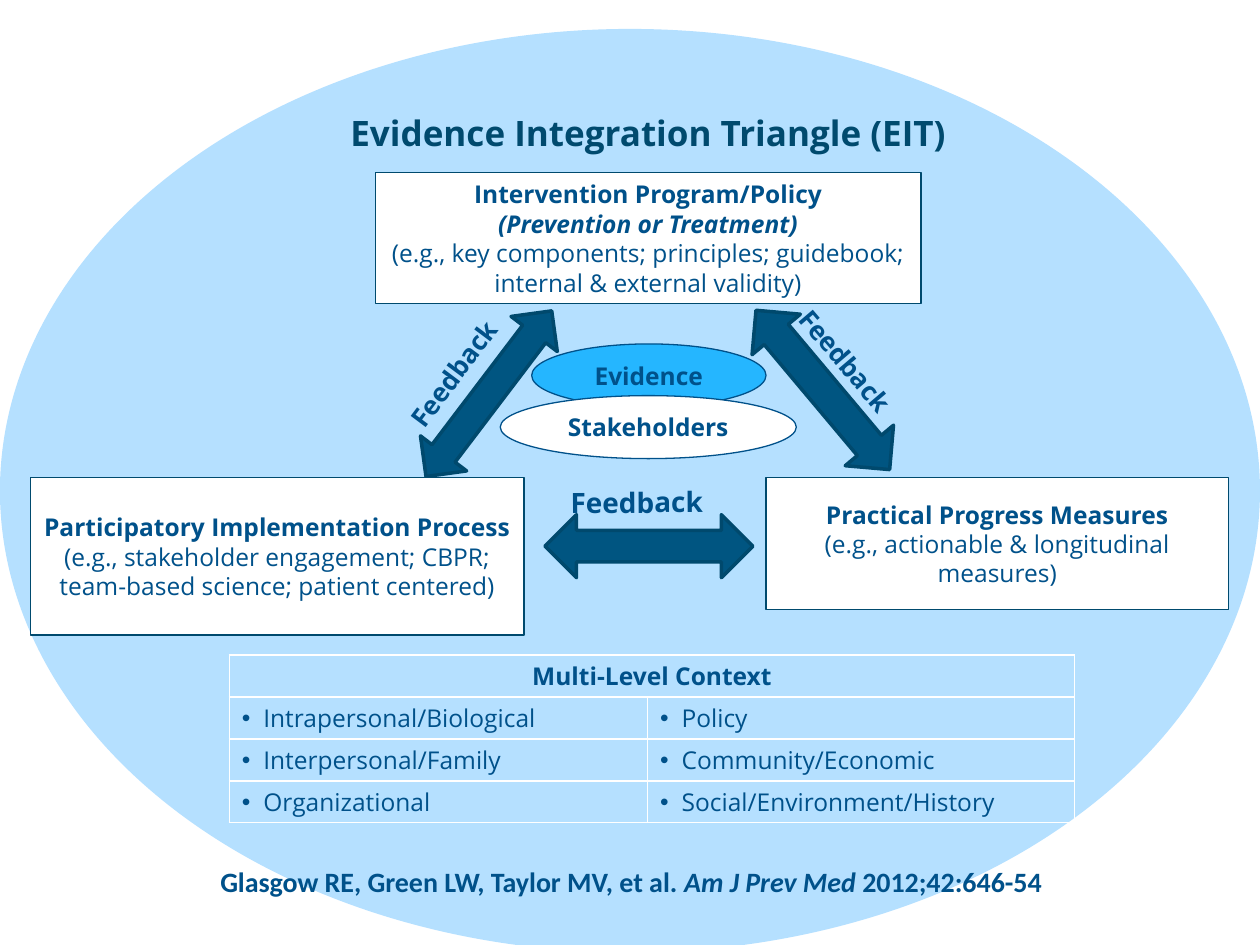
from lxml import etree
from pptx import Presentation
from pptx.dml.color import RGBColor
from pptx.enum.shapes import MSO_SHAPE
from pptx.enum.text import MSO_ANCHOR, PP_ALIGN
from pptx.oxml.ns import qn
from pptx.util import Inches, Pt

OVAL, RECT, ARROW = MSO_SHAPE.OVAL, MSO_SHAPE.RECTANGLE, MSO_SHAPE.UP_DOWN_ARROW
LEFT, CENTER = PP_ALIGN.LEFT, PP_ALIGN.CENTER
TOP, MIDDLE = MSO_ANCHOR.TOP, MSO_ANCHOR.MIDDLE
TEXT, EDGE, WHITE = "00518A", "004A6E", "FFFFFF"
BOLD, PLAIN, ITALIC = (True, False), (False, False), (True, True)


def rgb(value):
    return RGBColor.from_string(value)


class Deck:
    font = "Open Sans"
    size = 14

    def __init__(self, prs):
        self.s = prs.slides.add_slide(prs.slide_layouts[5])

    def add_text(self, tf, paragraphs, size=size, color=TEXT, font=font, align=CENTER, anchor=MIDDLE):
        tf.word_wrap = True
        tf.vertical_anchor = anchor
        for i, runs in enumerate(paragraphs):
            p = tf.paragraphs[0] if i == 0 else tf.add_paragraph()
            p.alignment = align
            for text, (bold, italic) in runs:
                r = p.add_run()
                r.text = text
                r.font.name, r.font.size = font, Pt(size)
                r.font.bold, r.font.italic = bold, italic
                r.font.color.rgb = rgb(color)

    def title(self, box, text, size, color):
        sp = self.s.shapes.title
        sp.left, sp.top, sp.width, sp.height = map(Inches, box)
        self.s.shapes.element.append(sp.element)
        self.add_text(sp.text_frame, [[(text, BOLD)]], size, color)

    def shape(self, kind, box, fill, line=None, width=0.75, rotation=0, paragraphs=()):
        sp = self.s.shapes.add_shape(kind, *map(Inches, box))
        sp.shadow.inherit = False
        sp.rotation = rotation
        sp.fill.solid()
        sp.fill.fore_color.rgb = rgb(fill)
        if line:
            sp.line.color.rgb = rgb(line)
            sp.line.width = Pt(width)
        else:
            sp.line.fill.background()
        self.add_text(sp.text_frame, paragraphs)

    def text(self, box, runs, size, rotation=0, font=font):
        sp = self.s.shapes.add_textbox(*map(Inches, box))
        sp.rotation = rotation
        self.add_text(sp.text_frame, [runs], size, font=font, align=LEFT, anchor=TOP)

    def bullet(self, p):
        pPr = p._p.get_or_add_pPr()
        pPr.set("marL", str(Inches(0.17)))
        pPr.set("indent", str(-Inches(0.17)))
        etree.SubElement(pPr, qn("a:buFont")).set("typeface", "Arial")
        etree.SubElement(pPr, qn("a:buChar")).set("char", "•")

    def table(self, box, widths, heading, rows):
        t = self.s.shapes.add_table(len(rows) + 1, len(widths), *map(Inches, box)).table
        t.first_row = t.horz_banding = False
        for column, width in zip(t.columns, widths):
            column.width = Inches(width)
        for cell in t.iter_cells():
            cell.fill.background()
            cell.margin_top = cell.margin_bottom = Inches(0.02)
            cell.vertical_anchor = MIDDLE
        t.cell(0, 0).merge(t.cell(0, len(widths) - 1))
        self.add_text(t.cell(0, 0).text_frame, [[(heading, BOLD)]])
        for i, row in enumerate(rows, 1):
            for j, text in enumerate(row):
                tf = t.cell(i, j).text_frame
                self.add_text(tf, [[(text, PLAIN)]], align=LEFT)
                self.bullet(tf.paragraphs[0])


prs = Presentation()
prs.slide_width, prs.slide_height = Inches(10), Inches(7.5)
deck = Deck(prs)

deck.shape(OVAL, (0, 0.23, 10, 7.33), "B5E0FF")
deck.title((1.73, 0.83, 6.83, 0.44), "Evidence Integration Triangle (EIT)", 20, EDGE)

for box, rotation in [
    ((3.65, 2.3, 0.46, 1.65), 37.2),
    ((6.28, 2.27, 0.5, 1.65), 140),
    ((4.9, 3.51, 0.5, 1.65), 90),
]:
    deck.shape(ARROW, box, "005581", "00496D", 2, rotation)

for box, headings, example in [
    ((0.24, 3.79, 3.92, 1.25), [("Participatory Implementation Process", BOLD)],
     "(e.g., stakeholder engagement; CBPR; team-based science; patient centered)"),
    ((6.08, 3.79, 3.67, 1.05), [("Practical Progress Measures", BOLD)],
     "(e.g., actionable & longitudinal measures)"),
    ((2.98, 1.37, 4.33, 1.04),
     [("Intervention Program/Policy", BOLD), ("(Prevention or Treatment)", ITALIC)],
     "(e.g., key components; principles; guidebook; internal & external validity)"),
]:
    paragraphs = [[run] for run in headings + [(example, PLAIN)]]
    deck.shape(RECT, box, WHITE, EDGE, paragraphs=paragraphs)

for box, fill, label in [
    ((4.22, 2.73, 1.86, 0.5), "25B6FF", "Evidence"),
    ((3.97, 3.14, 2.35, 0.5), WHITE, "Stakeholders"),
]:
    deck.shape(OVAL, box, fill, TEXT, paragraphs=[[(label, BOLD)]])

for box, size, rotation in [
    ((2.96, 2.7, 1.41, 0.35), 15, 306.8),
    ((6.07, 2.79, 1.45, 0.35), 15, 49.7),
    ((4.43, 3.8, 1.43, 0.37), 16, 359.7),
]:
    deck.text(box, [("Feedback", BOLD)], size, rotation)

deck.table((1.82, 5.2, 6.71, 1.33), (3.32, 3.39), "Multi-Level Context", [
    ("Intrapersonal/Biological", "Policy"),
    ("Interpersonal/Family", "Community/Economic"),
    ("Organizational", "Social/Environment/History"),
])

deck.text((1.65, 6.81, 6.76, 0.37), [
    ("Glasgow RE, Green LW, Taylor MV, et al. ", BOLD),
    ("Am J Prev Med ", ITALIC),
    ("2012;42:646-54", BOLD),
], 16, font="Calibri")

prs.save("out.pptx")
